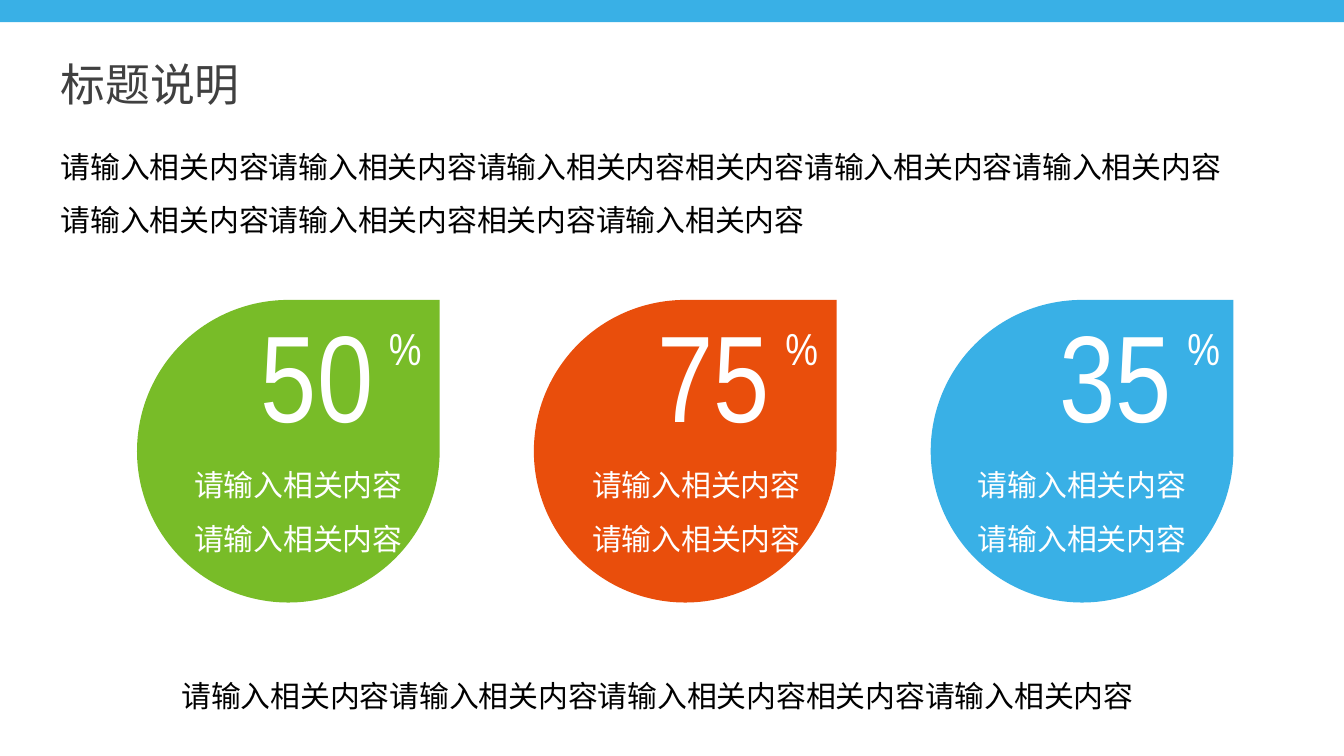
from dataclasses import dataclass

from lxml import etree
from pptx import Presentation
from pptx.dml.color import RGBColor
from pptx.enum.shapes import MSO_SHAPE
from pptx.enum.text import MSO_ANCHOR, MSO_AUTO_SIZE, PP_ALIGN
from pptx.oxml.ns import qn
from pptx.util import Cm, Pt

RECTANGLE, TEARDROP = MSO_SHAPE.RECTANGLE, MSO_SHAPE.TEAR
LEFT, CENTER = PP_ALIGN.LEFT, PP_ALIGN.CENTER
TOP, NO_FIT = MSO_ANCHOR.TOP, MSO_AUTO_SIZE.NONE


@dataclass(frozen=True)
class Theme:
    blue: str = "39B0E6"
    green: str = "78BC28"
    orange: str = "E94E0C"
    white: str = "FFFFFF"
    black: str = "000000"
    gray: str = "404040"
    figure_size: int = 66
    heading_size: int = 24
    text_size: int = 16
    figure_font: str = "Arial Narrow"
    text_font: str = "Calibri"
    cjk_font: str = "Noto Sans CJK SC"


theme = Theme()


def write(box, place, lines, size, color, font, align=CENTER, spacing=1.0):
    """Place a text box or placeholder (cm) and fill it, one paragraph a line."""
    box.left, box.top, box.width, box.height = map(Cm, place)
    frame = box.text_frame
    frame_format = {"word_wrap": True, "auto_size": NO_FIT, "vertical_anchor": TOP}
    for name, value in frame_format.items():
        setattr(frame, name, value)
    frame.text = "\n".join(lines)
    paragraph_format = {"alignment": align, "line_spacing": spacing, "space_before": Pt(0)}
    for paragraph in frame.paragraphs:
        for name, value in paragraph_format.items():
            setattr(paragraph, name, value)
        properties = paragraph._p.get_or_add_pPr()
        properties.set("marL", "0")
        properties.set("indent", "0")
        etree.SubElement(properties, qn("a:buNone"))
        run_font = paragraph.runs[0].font
        for name, value in {"size": Pt(size), "name": font, "bold": False}.items():
            setattr(run_font, name, value)
        run_font.color.rgb = RGBColor.from_string(color)
        east_asian = etree.SubElement(run_font._element, qn("a:ea"))
        east_asian.set("typeface", theme.cjk_font)


def add_solid(kind, place, color):
    solid = slide.shapes.add_shape(kind, *map(Cm, place))
    solid.shadow.inherit = False
    solid.fill.solid()
    solid.fill.fore_color.rgb = RGBColor.from_string(color)
    solid.line.fill.background()


prs = Presentation()
prs.slide_width, prs.slide_height = Cm(25.4), Cm(14.29)
slide = prs.slides.add_slide(prs.slide_layouts[1])
title, description = slide.placeholders

# Top band, title and description
add_solid(RECTANGLE, (0, 0, 25.4, 0.42), theme.blue)
write(title, (0.89, 0.94, 6.2, 1.27), ["标题说明"],
      theme.heading_size, theme.gray, theme.cjk_font, LEFT)

phrase = "请输入相关内容"
sentence = phrase * 3 + "相关内容" + phrase
write(description, (0.89, 2.34, 22.8, 2.31), [sentence + phrase * 3 + "相关内容" + phrase],
      theme.text_size, theme.black, theme.text_font, LEFT, 1.5)

# Drops: colour, percentage, left edge of the figure, left edge of the caption
drops = [
    (theme.green, "50", 4.09, 3.1),
    (theme.orange, "75", 11.58, 10.62),
    (theme.blue, "35", 19.18, 17.91),
]
first_left, pitch, diameter = 2.59, 7.5, 5.72

for index, (color, figure, figure_left, caption_left) in enumerate(drops):
    add_solid(TEARDROP, (first_left + index * pitch, 5.67, diameter, diameter), color)
    texts = [
        ((figure_left, 5.54, 3.81, 3.07), [figure], theme.figure_size, theme.figure_font, 1.0),
        ((figure_left + 2.62, 5.94, 1.9, 1.27), ["%"], theme.heading_size, theme.figure_font, 1.0),
        ((caption_left, 8.36, 5.08, 2.31), [phrase] * 2, theme.text_size, theme.text_font, 1.5),
    ]
    for place, lines, size, font, spacing in texts:
        write(slide.shapes.add_textbox(0, 0, 0, 0), place, lines, size,
              theme.white, font, spacing=spacing)

# Closing line
write(slide.shapes.add_textbox(0, 0, 0, 0), (0.84, 12.34, 23.19, 1.27), [sentence],
      theme.text_size, theme.black, theme.text_font, spacing=1.5)

prs.save("out.pptx")
